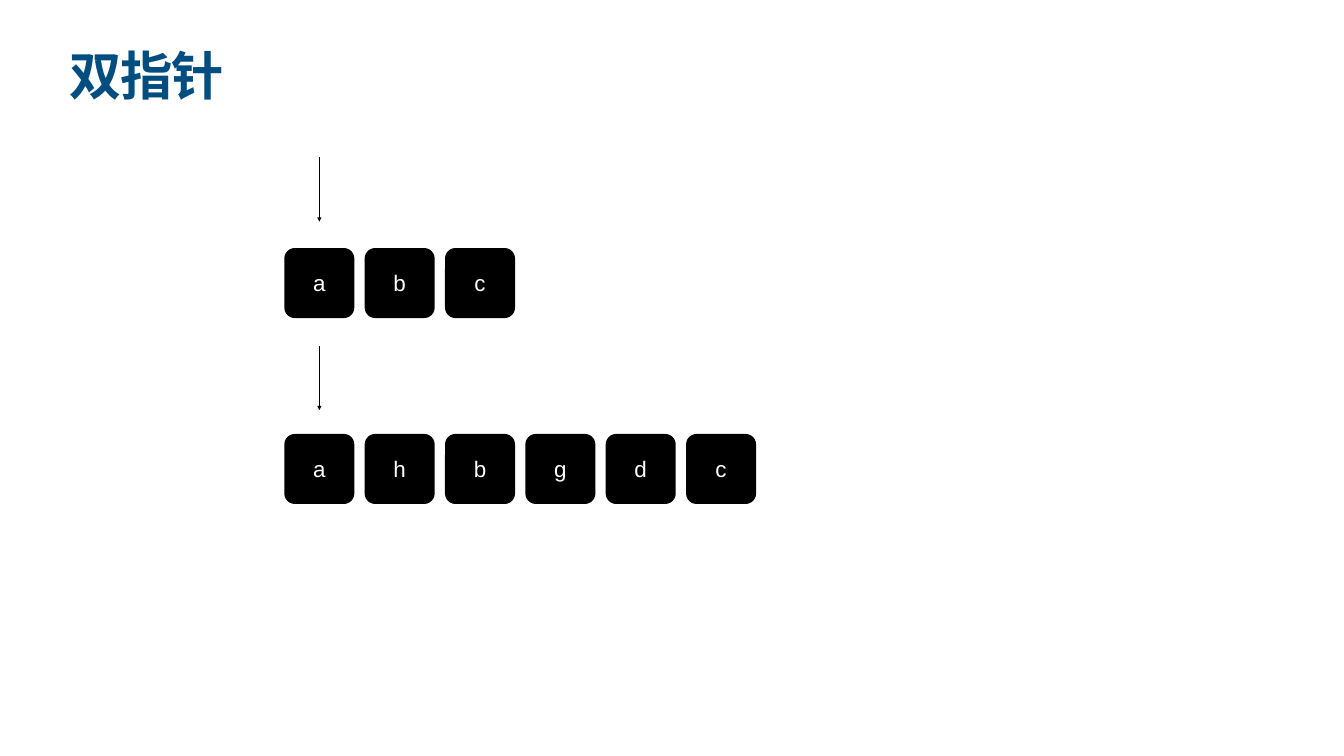
"""Build the two-pointer slide: two rows of letter tiles, each with an arrow at its first tile."""
import dataclasses

import lxml.etree
import pptx
import pptx.dml.color
import pptx.enum.shapes
import pptx.enum.text
import pptx.oxml.ns
import pptx.util

Cm = pptx.util.Cm
Pt = pptx.util.Pt
RGB = pptx.dml.color.RGBColor
qn = pptx.oxml.ns.qn


@dataclasses.dataclass(frozen=True)
class Theme:
    font: str = "Arial"
    title_color: RGB = RGB(0x00, 0x4D, 0x80)
    tile_color: RGB = RGB(0x00, 0x00, 0x00)
    letter_color: RGB = RGB(0xFF, 0xFF, 0xFF)
    title_size: float = 74.8
    letter_size: float = 32


def write_text(box, text, font_format, paragraph_format, anchor):
    frame = box.text_frame
    frame_format = {"word_wrap": True, "vertical_anchor": anchor}
    frame_format |= {f"margin_{side}": Cm(0.15) for side in ("left", "top", "right", "bottom")}
    para = frame.paragraphs[0]
    span = para.add_run()
    span.text = text
    for target, values in ((frame, frame_format), (para, paragraph_format), (span.font, font_format)):
        for name, value in values.items():
            setattr(target, name, value)
    return span


theme = Theme()
deck = pptx.Presentation()
deck.slide_width, deck.slide_height = Cm(67.74), Cm(38.1)
page = deck.slides.add_slide(deck.slide_layouts[6])

title = page.shapes.add_textbox(Cm(3.35), Cm(2.64), Cm(61.04), Cm(3.99))
title_span = write_text(
    title,
    "双指针",
    {"name": theme.font, "size": Pt(theme.title_size), "bold": True},
    {"line_spacing": 0.8},
    pptx.enum.text.MSO_ANCHOR.TOP,
)
title_span.font.color.rgb = theme.title_color
title_properties = title_span.font._element
title_properties.set("spc", "-150")
lxml.etree.SubElement(title_properties, qn("a:ea"), typeface=theme.font)

row_left, tile_size, tile_pitch = 14.33, 3.53, 4.05
arrow_x, arrow_length = row_left + tile_size / 2, 3.25
rows = (("abc", 12.5, 7.92), ("ahbgdc", 21.87, 17.42))

for letters, tile_top, arrow_top in rows:
    for column, letter in enumerate(letters):
        tile = page.shapes.add_shape(
            pptx.enum.shapes.MSO_SHAPE.ROUNDED_RECTANGLE,
            Cm(row_left + column * tile_pitch), Cm(tile_top), Cm(tile_size), Cm(tile_size),
        )
        tile.adjustments[0] = 0.15
        tile.shadow.inherit = False
        tile.fill.solid()
        tile.fill.fore_color.rgb = theme.tile_color
        tile.line.fill.background()
        span = write_text(
            tile,
            letter,
            {"name": theme.font, "size": Pt(theme.letter_size)},
            {"alignment": pptx.enum.text.PP_ALIGN.CENTER},
            pptx.enum.text.MSO_ANCHOR.MIDDLE,
        )
        span.font.color.rgb = theme.letter_color

    arrow = page.shapes.add_connector(
        pptx.enum.shapes.MSO_CONNECTOR.STRAIGHT,
        Cm(arrow_x), Cm(arrow_top), Cm(arrow_x), Cm(arrow_top + arrow_length),
    )
    arrow.line.color.rgb = theme.tile_color
    arrow.line.width = Pt(2)
    arrow_properties = arrow._element.spPr
    lxml.etree.SubElement(arrow_properties.find(qn("a:ln")), qn("a:tailEnd"), type="triangle")
    lxml.etree.SubElement(arrow_properties, qn("a:effectLst"))

deck.save("out.pptx")
